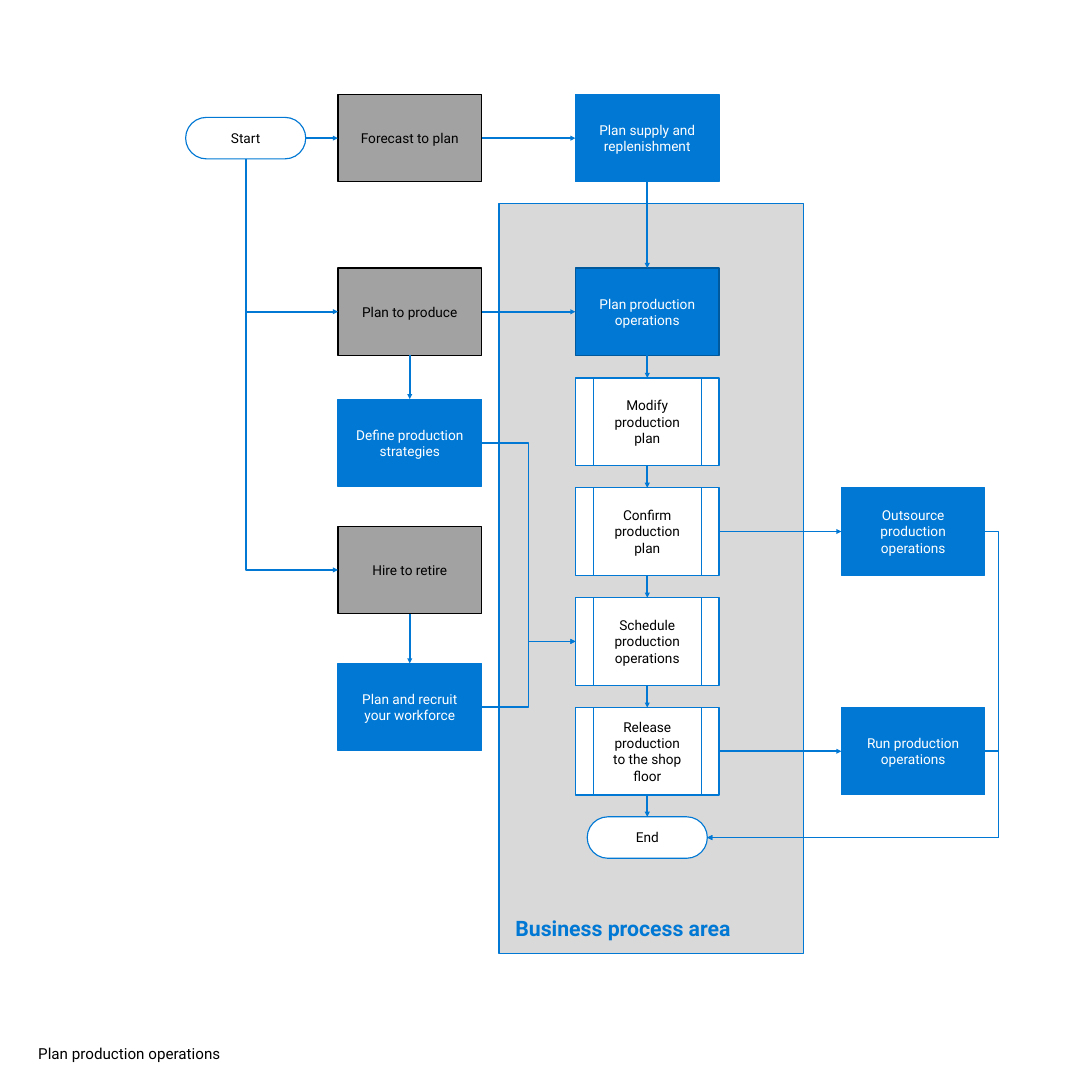
from dataclasses import dataclass

from lxml import etree
from pptx import Presentation
from pptx.dml.color import RGBColor
from pptx.enum.shapes import MSO_CONNECTOR, MSO_SHAPE
from pptx.enum.text import MSO_ANCHOR, MSO_AUTO_SIZE, PP_ALIGN
from pptx.oxml.ns import qn
from pptx.util import Inches, Pt

RECTANGLE = MSO_SHAPE.RECTANGLE
ROUNDED = MSO_SHAPE.ROUNDED_RECTANGLE
SUBPROCESS = MSO_SHAPE.FLOWCHART_PREDEFINED_PROCESS
STRAIGHT, ELBOW = MSO_CONNECTOR.STRAIGHT, MSO_CONNECTOR.ELBOW
TOP, LEFT, BOTTOM, RIGHT = range(4)  # connection sites


@dataclass(frozen=True)
class Theme:
    font: str = "Roboto"
    blue: str = "0078D4"
    dark_blue: str = "00599D"
    gray: str = "A2A2A2"
    light_gray: str = "D9D9D9"
    black: str = "000000"
    white: str = "FFFFFF"
    step_size: int = 18
    caption_size: int = 20
    area_size: int = 28
    outline: float = 1.5
    arrow: float = 2.25


THEME = Theme()

# Grid in inches
BOX_WIDTH, BOX_HEIGHT = 2.63, 1.6
PILL_WIDTH, PILL_HEIGHT = 2.2, 0.76
COLUMN_LEFT, COLUMN_MIDDLE, COLUMN_RIGHT = 6.19, 10.54, 15.41
TOP_ROW = 1.73
ROWS = [4.91 + 2.0125 * index for index in range(5)]

# Kinds of box: shape, fill, outline, text colour
PROCESS = (RECTANGLE, THEME.gray, THEME.black, THEME.black)
OPERATION = (RECTANGLE, THEME.blue, THEME.blue, THEME.white)
CURRENT = (RECTANGLE, THEME.blue, THEME.dark_blue, THEME.white)
STEP = (SUBPROCESS, THEME.white, THEME.blue, THEME.black)
TERMINAL = (ROUNDED, THEME.white, THEME.blue, THEME.black)
AREA = (RECTANGLE, THEME.light_gray, THEME.blue, THEME.blue)


def add_run(paragraph, text, size, color, bold=False):
    run = paragraph.add_run()
    run.text = text
    run.font.name = THEME.font
    run.font.size = Pt(size)
    run.font.bold = bold
    run.font.color.rgb = RGBColor.from_string(color)


def add_box(slide, kind, text, left, top, width=BOX_WIDTH, height=BOX_HEIGHT):
    preset, fill, outline, color = kind
    shape = slide.shapes.add_shape(
        preset, Inches(left), Inches(top), Inches(width), Inches(height))
    shape.shadow.inherit = False
    shape.fill.solid()
    shape.fill.fore_color.rgb = RGBColor.from_string(fill)
    shape.line.color.rgb = RGBColor.from_string(outline)
    shape.line.width = Pt(THEME.outline)
    if preset == ROUNDED:
        shape.adjustments[0] = 0.5
    frame = shape.text_frame
    frame.word_wrap = True
    frame.margin_left = frame.margin_right = Inches(0.3)
    frame.margin_top = frame.margin_bottom = Inches(0.24)
    paragraph = frame.paragraphs[0]
    if kind == AREA:
        frame.vertical_anchor = MSO_ANCHOR.BOTTOM
        paragraph.alignment = PP_ALIGN.LEFT
        add_run(paragraph, text, THEME.area_size, color, bold=True)
    else:
        frame.vertical_anchor = MSO_ANCHOR.MIDDLE
        paragraph.alignment = PP_ALIGN.CENTER
        add_run(paragraph, text, THEME.step_size, color)
    return shape


def add_pill(slide, text, left, top):
    return add_box(slide, TERMINAL, text, left, top, PILL_WIDTH, PILL_HEIGHT)


def add_caption(slide, text):
    box = slide.shapes.add_textbox(
        Inches(0.7), Inches(19.13), Inches(3.37), Inches(0.34))
    frame = box.text_frame
    frame.word_wrap = False
    frame.auto_size = MSO_AUTO_SIZE.SHAPE_TO_FIT_TEXT
    frame.margin_left = frame.margin_right = 0
    frame.margin_top = frame.margin_bottom = 0
    add_run(frame.paragraphs[0], text, THEME.caption_size, THEME.black)


def add_arrow(slide, start, start_site, end, end_site,
              kind=STRAIGHT, arrow_end="tailEnd"):
    connector = slide.shapes.add_connector(kind, 0, 0, 0, 0)
    connector.begin_connect(start, start_site)
    connector.end_connect(end, end_site)
    connector.line.color.rgb = RGBColor.from_string(THEME.blue)
    connector.line.width = Pt(THEME.arrow)
    line = connector.line._get_or_add_ln()
    etree.SubElement(line, qn("a:" + arrow_end), type="triangle")
    properties = connector._element.spPr
    etree.SubElement(properties, qn("a:effectLst"))
    return properties.find(qn("a:prstGeom"))


def add_branch(slide, start, box):
    """One-corner arrow down from start, drawn from the box backwards."""
    geometry = add_arrow(slide, box, LEFT, start, BOTTOM, ELBOW, "headEnd")
    geometry.set("prst", "bentConnector2")


def add_elbow(slide, start, end, end_site, bend=0.5):
    """Two-corner arrow; bend places the upright part along the width."""
    geometry = add_arrow(slide, start, RIGHT, end, end_site, ELBOW)
    guides = geometry.find(qn("a:avLst"))
    etree.SubElement(guides, qn("a:gd"), name="adj1",
                     fmla=f"val {round(bend * 100000)}")


def main():
    presentation = Presentation()
    presentation.slide_width = presentation.slide_height = Inches(20)
    slide = presentation.slides.add_slide(presentation.slide_layouts[6])

    # Business process area
    add_box(slide, AREA, "Business process area", 9.14, 3.73, 5.57, 13.74)

    # Start and left column
    start = add_pill(slide, "Start", 3.4, 2.15)
    forecast, produce, strategies, hire, recruit = [
        add_box(slide, kind, text, COLUMN_LEFT, top)
        for kind, text, top in (
            (PROCESS, "Forecast to plan", TOP_ROW),
            (PROCESS, "Plan to produce", ROWS[0]),
            (OPERATION, "Define production strategies", 7.31),
            (PROCESS, "Hire to retire", 9.64),
            (OPERATION, "Plan and recruit your workforce", 12.15),
        )]

    # Middle column, ending in the last terminal
    flow = [
        add_box(slide, kind, text, COLUMN_MIDDLE, top)
        for kind, text, top in zip(
            [OPERATION, CURRENT] + [STEP] * 4,
            ["Plan supply and replenishment",
             "Plan production operations",
             "Modify production plan",
             "Confirm production plan",
             "Schedule production operations",
             "Release production to the shop floor"],
            [TOP_ROW] + ROWS)]
    supply, operations, _, confirm, schedule, release = flow
    end = add_pill(
        slide, "End", COLUMN_MIDDLE + (BOX_WIDTH - PILL_WIDTH) / 2, 14.96)

    # Right column
    outsource = add_box(slide, OPERATION, "Outsource production operations",
                        COLUMN_RIGHT, ROWS[2])
    run = add_box(slide, OPERATION, "Run production operations",
                  COLUMN_RIGHT, ROWS[4])

    # Straight arrows
    for upper, lower in [*zip(flow, flow[1:] + [end]),
                         (produce, strategies), (hire, recruit)]:
        add_arrow(slide, upper, BOTTOM, lower, TOP)
    for source, target in [(start, forecast), (forecast, supply),
                           (produce, operations), (confirm, outsource),
                           (release, run)]:
        add_arrow(slide, source, RIGHT, target, LEFT)

    # Bent arrows
    for box in (produce, hire):
        add_branch(slide, start, box)
    for box in (strategies, recruit):
        add_elbow(slide, box, schedule, LEFT)
    for box in (outsource, run):
        add_elbow(slide, box, end, RIGHT, bend=-0.049)

    # Caption
    add_caption(slide, "Plan production operations")

    presentation.save("out.pptx")


if __name__ == "__main__":
    main()
